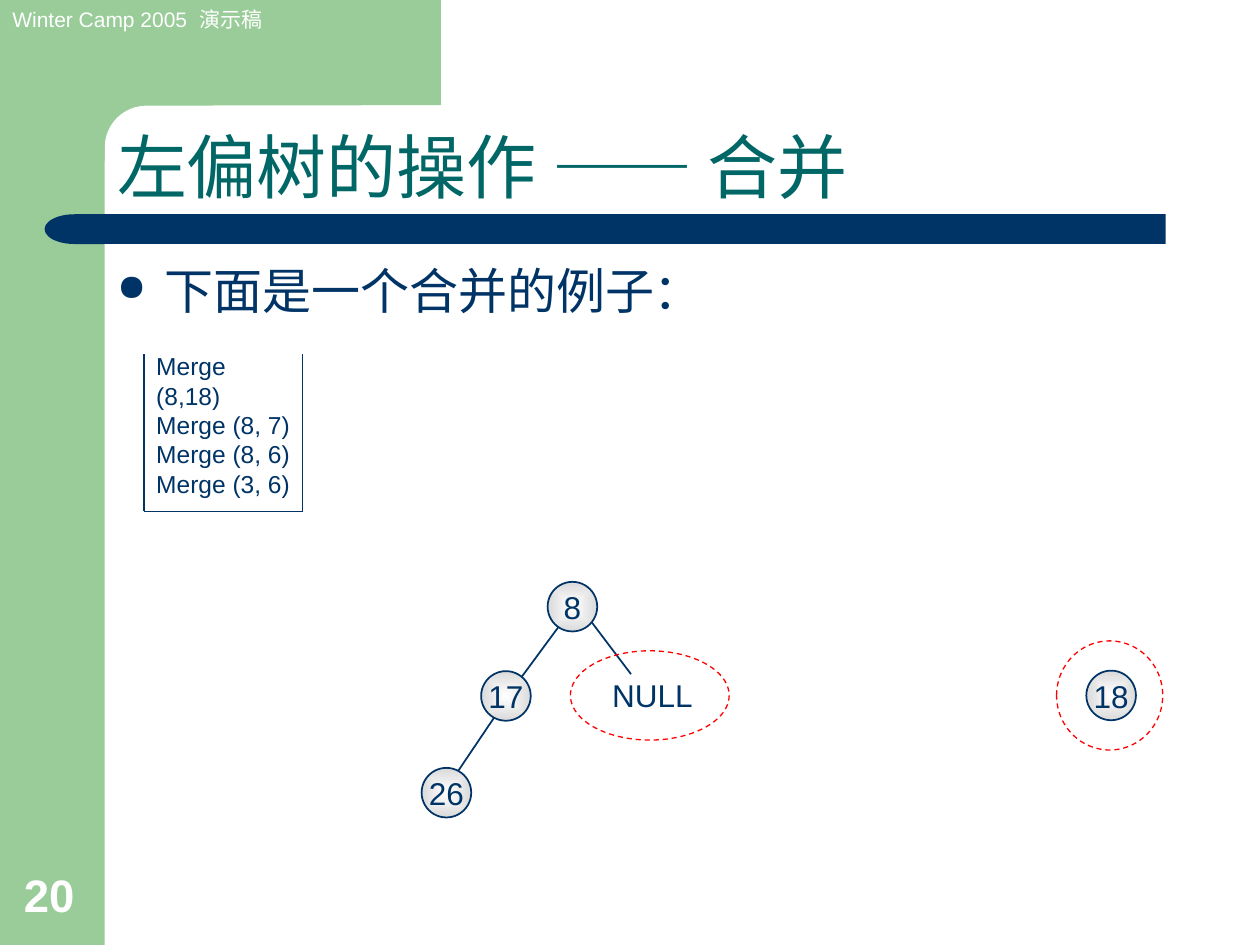
from math import cos, pi, sin

from lxml.etree import SubElement
from pptx import Presentation
from pptx.dml.color import RGBColor
from pptx.enum.dml import MSO_LINE
from pptx.enum.shapes import MSO_CONNECTOR, MSO_SHAPE
from pptx.enum.text import MSO_ANCHOR, PP_ALIGN
from pptx.oxml import parse_xml
from pptx.oxml.ns import nsdecls, qn
from pptx.util import Cm, Pt

HUES = {"green": "99CC99", "navy": "003366", "teal": "006666", "red": "FF0000",
        "white": "FFFFFF", "gray": "DADADA"}
HUE = {name: RGBColor.from_string(code) for name, code in HUES.items()}
CJK = "Noto Sans CJK SC"

deck = Presentation()
deck.slide_width, deck.slide_height = Cm(25.4), Cm(19.05)
shapes = deck.slides.add_slide(deck.slide_layouts[6]).shapes


def write(shape, text, size, hue, anchor=MSO_ANCHOR.TOP):
    """Put text in a shape, one paragraph a line, and format its runs."""
    frame = shape.text_frame
    frame.text = text
    frame.word_wrap = True
    frame.vertical_anchor = anchor
    for para in frame.paragraphs:
        for run in para.runs:
            run.font.size, run.font.name = Pt(size), "Arial"
            run.font.color.rgb = HUE[hue]
            SubElement(run.font._element, qn("a:ea")).set("typeface", CJK)
    return frame


def draw_line(x1, y1, x2, y2, width):
    """Draw a straight navy line without a shadow."""
    line = shapes.add_connector(MSO_CONNECTOR.STRAIGHT, Cm(x1), Cm(y1), Cm(x2), Cm(y2))
    line.line.color.rgb = HUE["navy"]
    line.line.width = Pt(width)
    SubElement(line._element.spPr, qn("a:effectLst"))


# Green side band, and the top band with its round inner corner
side = shapes.add_shape(MSO_SHAPE.RECTANGLE, 0, 0, Cm(2.11), Cm(19.05))
arc = [(2.95 - 0.84 * sin(t * pi / 24), 2.97 - 0.84 * cos(t * pi / 24)) for t in range(13)]
edge = [(8.89, 0), (8.89, 2.12), *arc, (2.11, 3.25), (1.27, 3.25), (1.27, 0)]
pen = shapes.build_freeform(Cm(edge[0][0]), Cm(edge[0][1]))
pen.add_line_segments([(Cm(x), Cm(y)) for x, y in edge[1:]])
top = pen.convert_to_shape()

# Navy bar with a round left end
bar = shapes.add_shape(MSO_SHAPE.RECTANGLE, Cm(2.06), Cm(4.32), Cm(21.44), Cm(0.6))
cap = shapes.add_shape(MSO_SHAPE.FLOWCHART_DELAY, Cm(0.9), Cm(4.32), Cm(1.2), Cm(0.6))
cap._element.spPr.xfrm.set("flipH", "1")

for shape, hue in ((side, "green"), (top, "green"), (bar, "navy"), (cap, "navy")):
    shape.shadow.inherit = False
    shape.fill.solid()
    shape.fill.fore_color.rgb = HUE[hue]
    shape.line.fill.background()

# Header, title and page number
box = shapes.add_textbox(0, 0, Cm(5.8), Cm(0.76))
write(box, "Winter Camp 2005  演示稿", 12, "white")

box = shapes.add_textbox(Cm(2.11), Cm(2.13), Cm(21.62), Cm(2.21))
frame = write(box, "左偏树的操作 —— 合并", 40, "teal", MSO_ANCHOR.BOTTOM)
frame.paragraphs[0].line_spacing = 0.9
# The long dash takes the CJK font, so it gets a run of its own
para = frame.paragraphs[0]
first = para.runs[0]
head, dash, tail = "左偏树的操作 ", "—— ", "合并"
first.text = head
for part in (dash, tail):
    run = para.add_run()
    run.text = part
    run.font.size, run.font.color.rgb = Pt(40), HUE["teal"]
    run.font.name = CJK if part == dash else "Arial"
    SubElement(run.font._element, qn("a:ea")).set("typeface", CJK)

box = shapes.add_textbox(Cm(0.23), Cm(17.35), Cm(1.63), Cm(1.35))
frame = write(box, "20", 26, "white", MSO_ANCHOR.BOTTOM)
frame.paragraphs[0].runs[0].font.bold = True

# Bullet
box = shapes.add_textbox(Cm(2.11), Cm(5.13), Cm(21.41), Cm(12.4))
para = write(box, "下面是一个合并的例子：", 28, "navy").paragraphs[0]
props = para._p.get_or_add_pPr()
props.set("marL", str(Cm(0.96)))
props.set("indent", str(-Cm(0.96)))
tint = SubElement(SubElement(props, qn("a:buClr")), qn("a:srgbClr"))
tint.set("val", HUES["navy"])
SubElement(props, qn("a:buSzPct")).set("val", "75000")
SubElement(props, qn("a:buChar")).set("char", "●")

# Call stack: an open box with the calls in it
calls = ["Merge (8,18)", "Merge (8, 7)", "Merge (8, 6)", "Merge (3, 6)"]
box = shapes.add_textbox(Cm(2.9), Cm(7.0), Cm(3.2), Cm(3.17))
write(box, "\n".join(calls), 14, "navy", MSO_ANCHOR.BOTTOM)
left, right, high, low = 2.9, 6.1, 7.14, 10.31
draw_line(left, high, left, low, 0.75)
draw_line(left, low, right, low, 0.75)
draw_line(right, low, right, high, 0.75)

# Tree edges
for ends in ((11.91, 12.52, 12.72, 13.59), (11.53, 12.27, 10.24, 14.02),
             (10.16, 14.17, 8.94, 15.98)):
    draw_line(*ends, 1)

# Empty child
box = shapes.add_textbox(Cm(12.09), Cm(13.51), Cm(2.21), Cm(1.02))
write(box, "NULL", 18, "navy")

# Tree nodes, placed by centre
SIZE = 1.0
for label, x, y in (("8", 11.54, 12.23), ("17", 10.2, 14.03),
                    ("26", 9.0, 15.98), ("18", 22.4, 14.02)):
    node = shapes.add_shape(MSO_SHAPE.OVAL, Cm(x - SIZE / 2), Cm(y - SIZE / 2),
                            Cm(SIZE), Cm(SIZE))
    node.shadow.inherit = False
    node.line.color.rgb = HUE["navy"]
    node.line.width = Pt(1)
    grad = parse_xml(
        f'<a:gradFill {nsdecls("a")} rotWithShape="1"><a:gsLst>'
        f'<a:gs pos="0"><a:srgbClr val="{HUES["white"]}"/></a:gs>'
        f'<a:gs pos="100000"><a:srgbClr val="{HUES["gray"]}"/></a:gs></a:gsLst>'
        '<a:path path="shape"><a:fillToRect l="50000" t="50000" r="50000" b="50000"/>'
        '</a:path></a:gradFill>')
    node._element.spPr.find(qn("a:prstGeom")).addnext(grad)
    frame = write(node, label, 18, "navy", MSO_ANCHOR.MIDDLE)
    frame.word_wrap = False
    frame.paragraphs[0].alignment = PP_ALIGN.CENTER

# Dashed rings round the two trees to merge
for x, y, wide, tall in ((11.5, 13.12, 3.2, 1.8), (21.3, 12.92, 2.14, 2.2)):
    ring = shapes.add_shape(MSO_SHAPE.OVAL, Cm(x), Cm(y), Cm(wide), Cm(tall))
    ring.shadow.inherit = False
    ring.fill.background()
    ring.line.color.rgb = HUE["red"]
    ring.line.width = Pt(0.75)
    ring.line.dash_style = MSO_LINE.DASH

deck.save("out.pptx")
